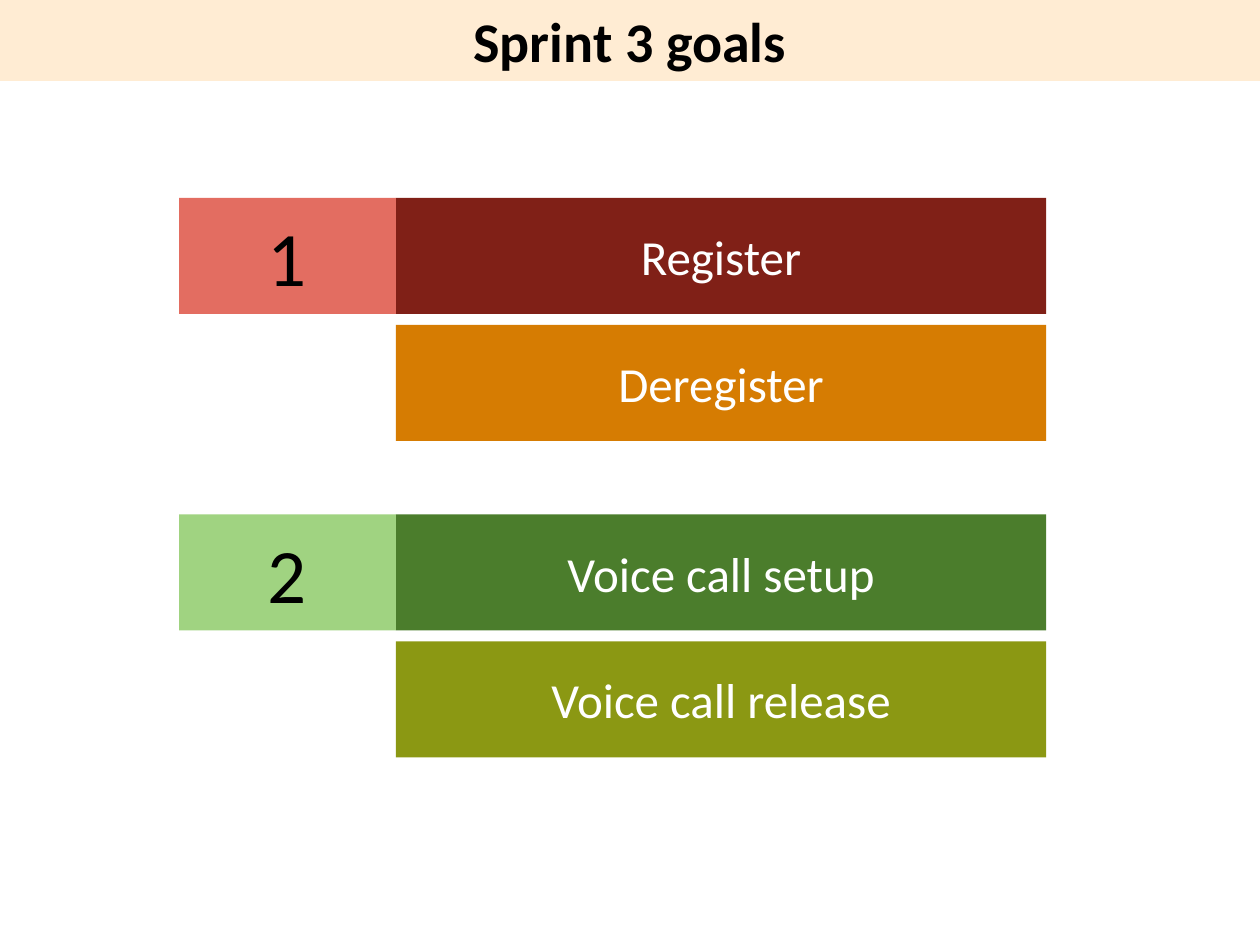
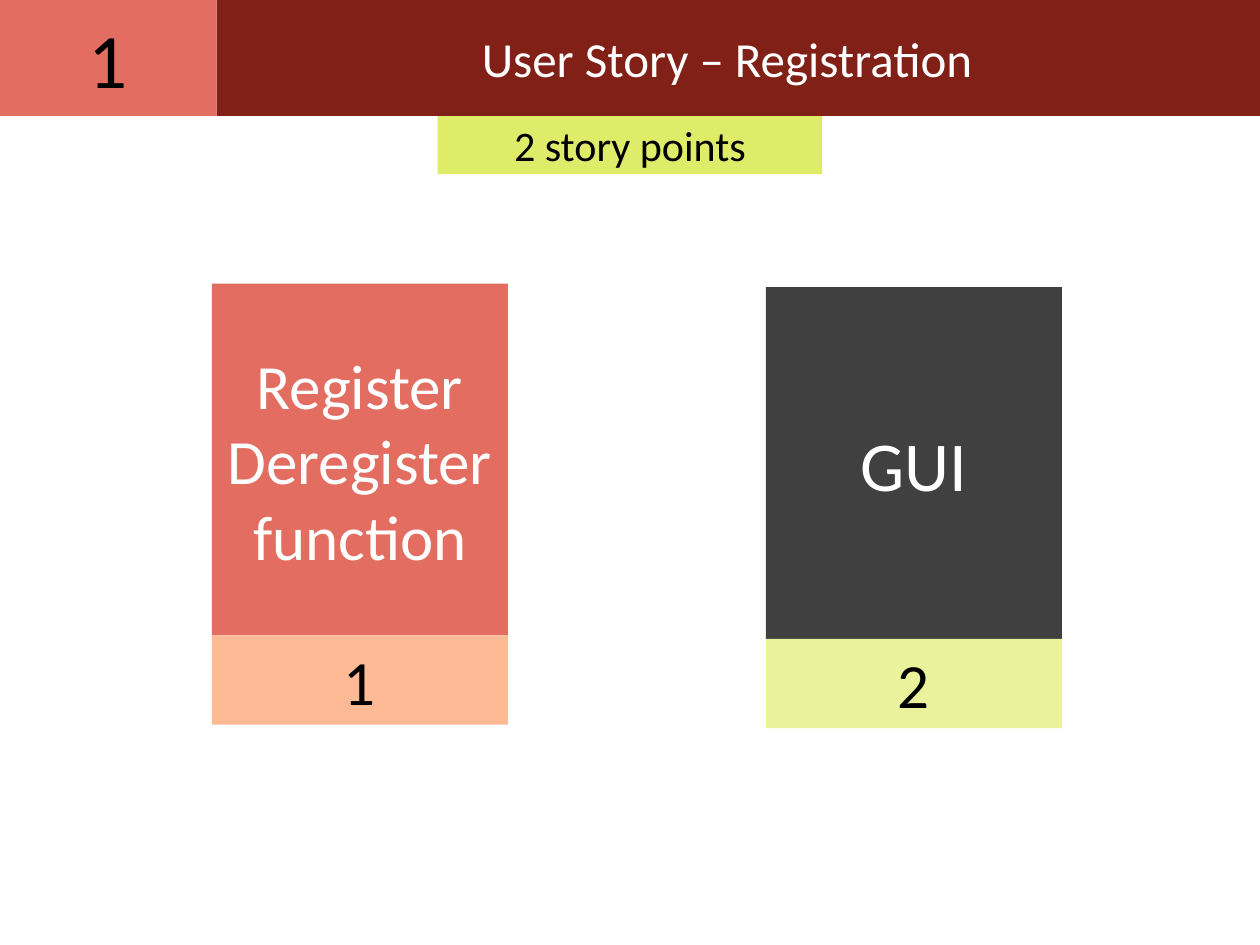
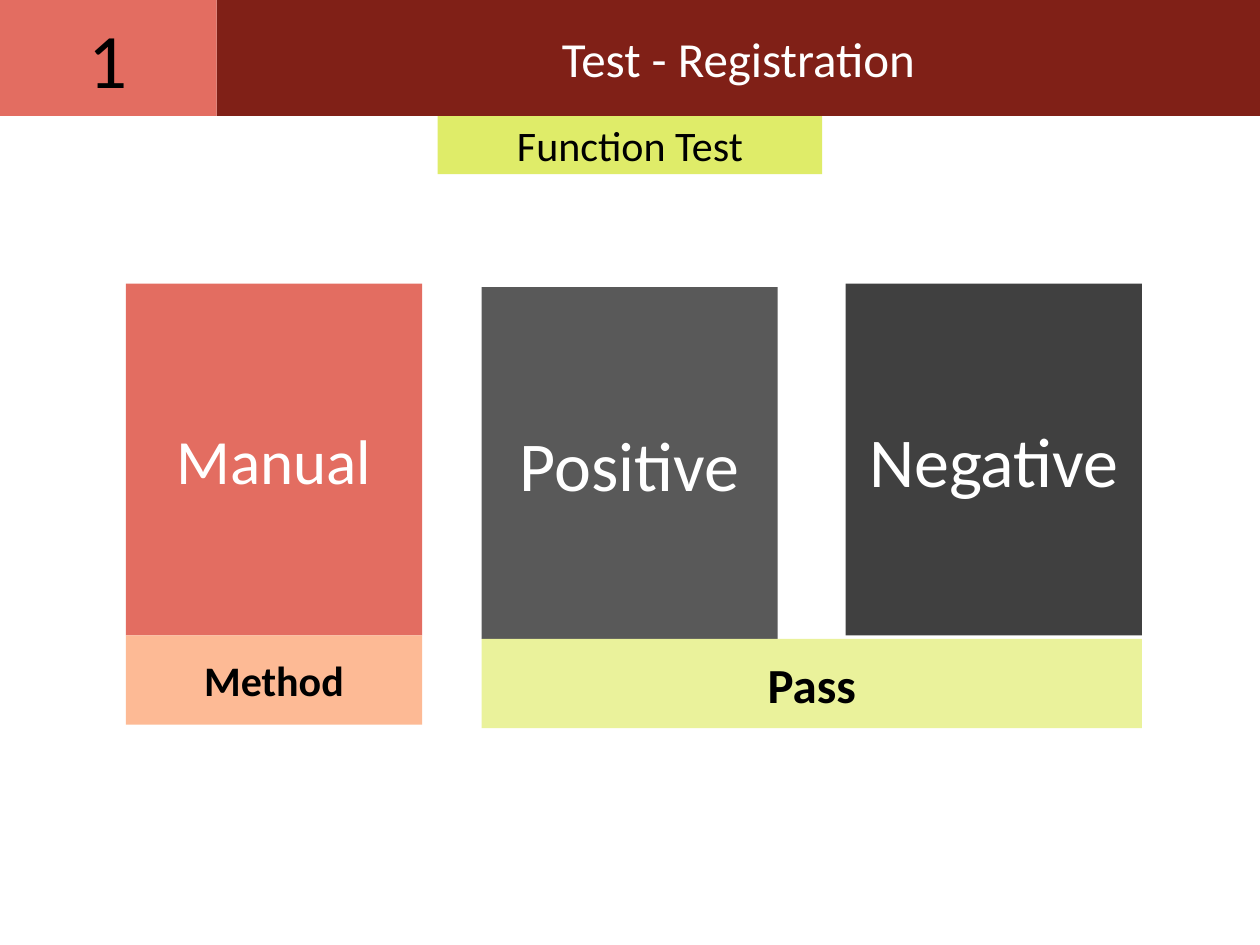
import pptx
import pptx.util
import pptx.dml.color
import pptx.enum.shapes
import pptx.enum.text

Cm = pptx.util.Cm

COLOURS = {
    "white": "FFFFFF",
    "black": "000000",
    "cream": "FFECD3",
    "maroon": "802017",
    "coral": "E36D61",
    "peach": "FDBA95",
    "orange": "D67C02",
    "green": "4B7D2C",
    "light green": "A0D381",
    "olive": "8B9813",
    "lime": "DFEC69",
    "pale lime": "EAF29B",
    "grey": "595959",
    "charcoal": "404040",
}
FONT = "Calibri"
SLIDE_WIDTH, SLIDE_HEIGHT = 25.4, 19.05
BAR_HEIGHT, NUMBER_WIDTH, GOAL_WIDTH = 2.34, 4.37, 13.11
CARD_WIDTH, CARD_HEIGHT, FOOT_HEIGHT = 5.97, 7.09, 1.8
TAG_WIDTH, TAG_HEIGHT = 7.75, 1.17
HIGH_TOP, LOW_TOP = 5.72, 5.79


def rgb(name):
    return pptx.dml.color.RGBColor.from_string(COLOURS[name])


def add_block(slide, left, top, width, height, text, fill, size,
              ink="white", bold=False, anchor="MIDDLE"):
    block = slide.shapes.add_shape(
        pptx.enum.shapes.MSO_SHAPE.RECTANGLE,
        Cm(left), Cm(top), Cm(width), Cm(height))
    block.shadow.inherit = False
    block.fill.solid()
    block.fill.fore_color.rgb = rgb(fill)
    block.line.fill.background()
    frame = block.text_frame
    frame.word_wrap = True
    frame.vertical_anchor = pptx.enum.text.MSO_ANCHOR[anchor]
    frame.text = text
    for paragraph in frame.paragraphs:
        paragraph.alignment = pptx.enum.text.PP_ALIGN.CENTER
        for run in paragraph.runs:
            run.font.name = FONT
            run.font.size = pptx.util.Pt(size)
            run.font.bold = bold
            run.font.color.rgb = rgb(ink)
    return block


def add_numbered_bar(slide, left, top, width, number, text, number_fill, fill):
    bar = add_block(slide, left + NUMBER_WIDTH, top, width, BAR_HEIGHT, text, fill, 28)
    add_block(slide, left, top, NUMBER_WIDTH, BAR_HEIGHT, number, number_fill, 44, "black")
    return bar


def add_story_header(slide, title, tag):
    bar = add_numbered_bar(slide, 0, 0, SLIDE_WIDTH - NUMBER_WIDTH, "1", title,
                           "coral", "maroon")
    add_block(slide, (SLIDE_WIDTH - TAG_WIDTH) / 2, BAR_HEIGHT, TAG_WIDTH, TAG_HEIGHT,
              tag, "lime", 24, "black")
    return bar


def add_card(slide, left, top, text, fill, size):
    add_block(slide, left, top, CARD_WIDTH, CARD_HEIGHT, text, fill, size)


def add_foot(slide, left, card_top, text, fill, size, width=CARD_WIDTH, bold=False):
    add_block(slide, left, card_top + CARD_HEIGHT, width, FOOT_HEIGHT, text, fill, size,
              "black", bold)


def build_goals(slide):
    add_block(slide, 0, 0, SLIDE_WIDTH, 1.63, "Sprint 3 goals", "cream", 32,
              "black", True, "TOP")
    left, step = 3.61, 2.56
    goals = [
        (3.99, "1", "Register", "coral", "maroon", "Deregister", "orange"),
        (10.37, "2", "Voice call setup", "light green", "green",
         "Voice call release", "olive"),
    ]
    for top, number, goal, number_fill, fill, counterpart, counterpart_fill in goals:
        add_numbered_bar(slide, left, top, GOAL_WIDTH, number, goal, number_fill, fill)
        add_block(slide, left + NUMBER_WIDTH, top + step, GOAL_WIDTH, BAR_HEIGHT,
                  counterpart, counterpart_fill, 28)


def build_story(slide):
    bar = add_story_header(slide, "User Story – Registration", "2 story points")
    bar.text_frame.margin_right = Cm(0.71)
    tasks = [
        (4.27, HIGH_TOP, "Register\nDeregister function", "coral", 36, "1", "peach"),
        (15.44, LOW_TOP, "GUI", "charcoal", 40, "2", "pale lime"),
    ]
    for left, top, task, fill, size, points, points_fill in tasks:
        add_card(slide, left, top, task, fill, size)
        add_foot(slide, left, top, points, points_fill, 36)


def build_test(slide):
    add_story_header(slide, "Test - Registration", "Function Test")
    method_left, positive_left, negative_left = 2.54, 9.71, 17.05
    add_card(slide, method_left, HIGH_TOP, "Manual", "coral", 36)
    add_foot(slide, method_left, HIGH_TOP, "Method", "peach", 24, bold=True)
    add_card(slide, positive_left, LOW_TOP, "Positive", "grey", 40)
    add_foot(slide, positive_left, LOW_TOP, "Pass", "pale lime", 28,
             negative_left + CARD_WIDTH - positive_left, True)
    add_card(slide, negative_left, HIGH_TOP, "Negative", "charcoal", 40)


def main():
    deck = pptx.Presentation()
    deck.slide_width, deck.slide_height = Cm(SLIDE_WIDTH), Cm(SLIDE_HEIGHT)
    for build in (build_goals, build_story, build_test):
        build(deck.slides.add_slide(deck.slide_layouts[6]))
    deck.save("out.pptx")


if __name__ == "__main__":
    main()
